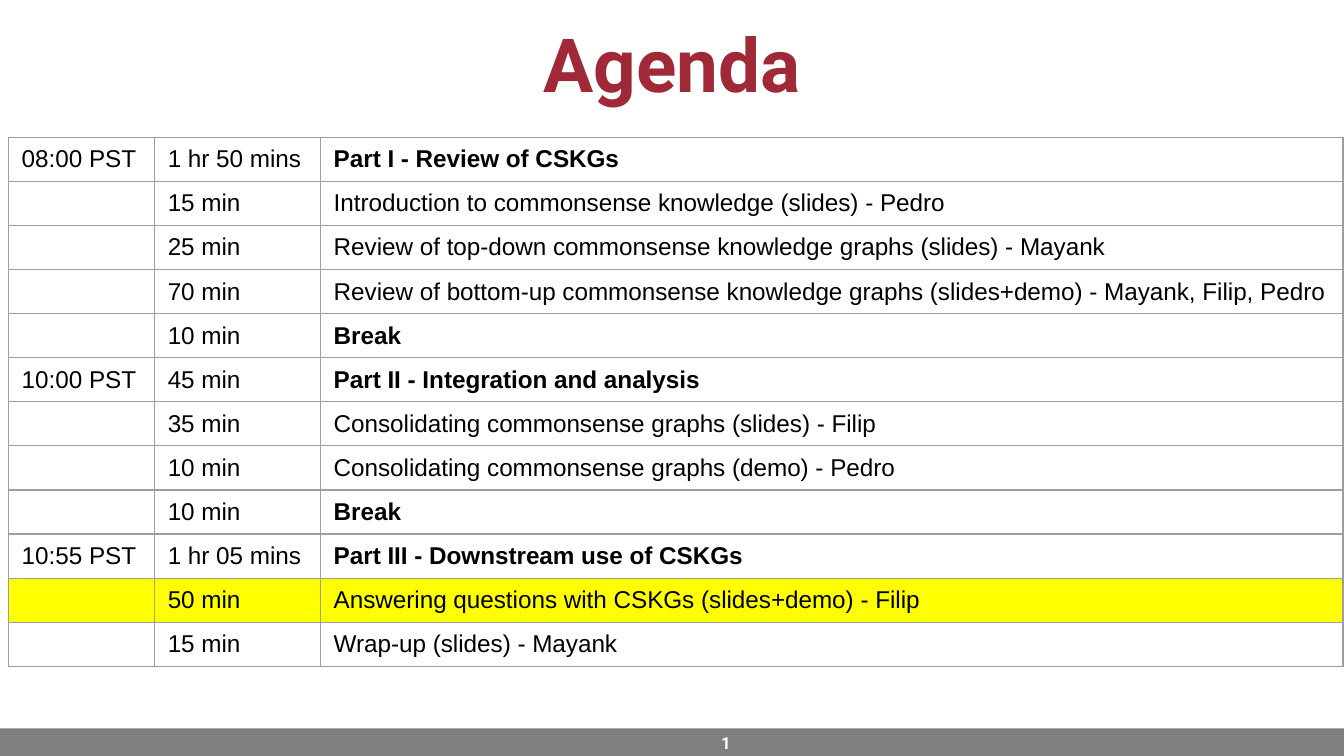
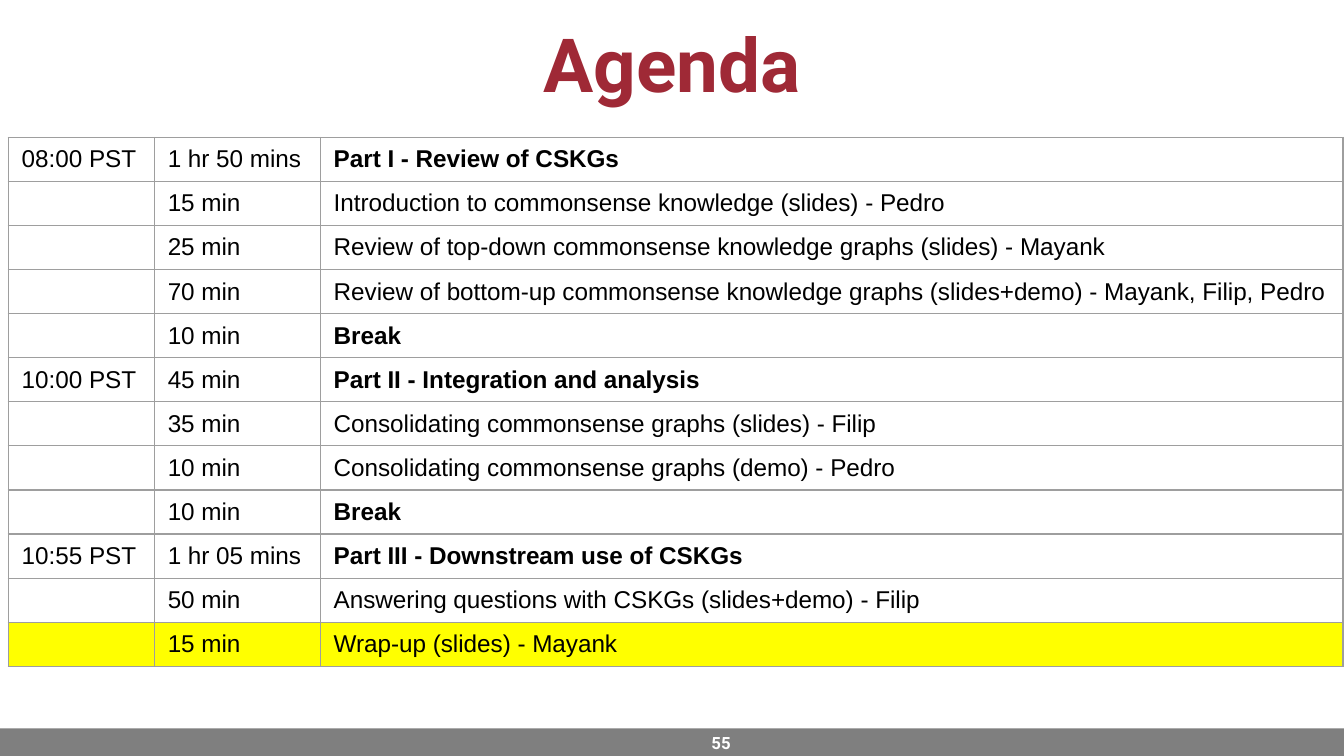
"""Build the two agenda slides, each with its current session marked."""
import dataclasses
import typing

import lxml.etree
import pptx
import pptx.dml.color
import pptx.enum.shapes
import pptx.enum.text
import pptx.oxml.ns
import pptx.presentation
import pptx.slide
import pptx.table
import pptx.text.text
import pptx.util

ALIGN = pptx.enum.text.PP_ALIGN
MIDDLE = pptx.enum.text.MSO_ANCHOR.MIDDLE


@dataclasses.dataclass(frozen=True)
class Style:
    """Font, size, colour and weight of a text."""
    font: str
    size: float
    color: str
    bold: bool = False


@dataclasses.dataclass(frozen=True)
class Theme:
    """Colours and type sizes shared by the slides."""
    title: Style = Style("Roboto", 40, "9F2936", True)
    number: Style = Style("Roboto", 9, "FFFFFF", True)
    plain: Style = Style("Arial", 13, "000000")
    strong: Style = Style("Arial", 13, "000000", True)
    band: str = "7F7F7F"
    mark: str = "FFFF00"
    rule: str = "9E9E9E"
    rule_width: float = 0.75


class Box(typing.NamedTuple):
    """Left, top, width and height in grid units."""
    left: float
    top: float
    width: float
    height: float


class Item(typing.NamedTuple):
    """One line of the agenda."""
    start: str
    span: str
    topic: str
    strong: bool = False


class Page(typing.NamedTuple):
    """Slide number and the row of the current session."""
    number: str
    current: int


THEME = Theme()
UNIT = 0.1
WIDE, HIGH = 100, 56.25
TITLE = Box(0, 0, WIDE, 9.3)
BAND = Box(0, 54.2, WIDE, 2.2)
NUMBER = Box(50.85, 53.8, 4.5, 3)
COLUMNS = (10.87, 12.35, 76.1)
ROW = 3.28
ITEMS = (
    Item("08:00 PST", "1 hr 50 mins", "Part I - Review of CSKGs", True),
    Item("", "15 min", "Introduction to commonsense knowledge (slides) - Pedro"),
    Item("", "25 min", "Review of top-down commonsense knowledge graphs (slides) - Mayank"),
    Item("", "70 min", "Review of bottom-up commonsense knowledge graphs (slides+demo) - Mayank, Filip, Pedro"),
    Item("", "10 min", "Break", True),
    Item("10:00 PST", "45 min", "Part II - Integration and analysis", True),
    Item("", "35 min", "Consolidating commonsense graphs (slides) - Filip"),
    Item("", "10 min", "Consolidating commonsense graphs (demo) - Pedro"),
    Item("", "10 min", "Break", True),
    Item("10:55 PST", "1 hr 05 mins", "Part III - Downstream use of CSKGs", True),
    Item("", "50 min", "Answering questions with CSKGs (slides+demo) - Filip"),
    Item("", "15 min", "Wrap-up (slides) - Mayank"),
)
AGENDA = Box(0.62, 10.22, sum(COLUMNS), ROW * len(ITEMS))
PAGES = (Page("1", 10), Page("55", 11))


def units(count: float) -> pptx.util.Length:
    """Turn grid units into a length."""
    return pptx.util.Inches(count * UNIT)


def place(box: Box) -> tuple[pptx.util.Length, ...]:
    """Turn a box into four lengths."""
    return tuple(units(side) for side in box)


def paint(code: str) -> pptx.dml.color.RGBColor:
    """Turn a hex code into a colour."""
    return pptx.dml.color.RGBColor.from_string(code)


def write(frame: pptx.text.text.TextFrame, text: str, style: Style, align: ALIGN) -> None:
    """Set a one-line text and format it."""
    frame.text = text
    line = frame.paragraphs[0]
    line.alignment = align
    for run in line.runs:
        run.font.name = style.font
        run.font.size = pptx.util.Pt(style.size)
        run.font.bold = style.bold
        run.font.color.rgb = paint(style.color)


def set_frame(frame: pptx.text.text.TextFrame) -> None:
    """Give a frame centred anchoring, wrapping and fixed size."""
    frame.word_wrap = True
    frame.auto_size = pptx.enum.text.MSO_AUTO_SIZE.NONE
    frame.vertical_anchor = MIDDLE


def add_title(slide: pptx.slide.Slide) -> None:
    """Move and fill the title placeholder."""
    title = slide.shapes.title
    title.left, title.top, title.width, title.height = place(TITLE)
    set_frame(title.text_frame)
    write(title.text_frame, "Agenda", THEME.title, ALIGN.CENTER)


def add_footer(slide: pptx.slide.Slide, number: str) -> None:
    """Draw the bottom band with the slide number."""
    band = slide.shapes.add_shape(pptx.enum.shapes.MSO_SHAPE.RECTANGLE, *place(BAND))
    band.shadow.inherit = False
    band.fill.solid()
    band.fill.fore_color.rgb = paint(THEME.band)
    band.line.fill.background()
    frame = slide.shapes.add_textbox(*place(NUMBER)).text_frame
    set_frame(frame)
    write(frame, number, THEME.number, ALIGN.RIGHT)


def rule_cell(cell: pptx.table._Cell) -> None:
    """Rule all four sides of a cell."""
    props = cell._tc.get_or_add_tcPr()
    name = pptx.oxml.ns.qn
    width = str(pptx.util.Pt(THEME.rule_width))
    for side in ("a:lnL", "a:lnR", "a:lnT", "a:lnB"):
        edge = lxml.etree.SubElement(props, name(side), w=width)
        fill = lxml.etree.SubElement(edge, name("a:solidFill"))
        lxml.etree.SubElement(fill, name("a:srgbClr"), val=THEME.rule)


def fill_cell(cell: pptx.table._Cell, text: str, style: Style, marked: bool) -> None:
    """Write and format one cell."""
    rule_cell(cell)
    cell.margin_left = cell.margin_right = units(1)
    cell.margin_top = cell.margin_bottom = 0
    cell.vertical_anchor = MIDDLE
    if marked:
        cell.fill.solid()
        cell.fill.fore_color.rgb = paint(THEME.mark)
    else:
        cell.fill.background()
    write(cell.text_frame, text, style, ALIGN.LEFT)


def add_agenda(slide: pptx.slide.Slide, current: int) -> None:
    """Draw the agenda table with the current row marked."""
    table = slide.shapes.add_table(len(ITEMS), len(COLUMNS), *place(AGENDA)).table
    table.first_row = table.horz_banding = False
    for column, width in zip(table.columns, COLUMNS):
        column.width = units(width)
    for index, (row, item) in enumerate(zip(table.rows, ITEMS)):
        row.height = units(ROW)
        topic = THEME.strong if item.strong else THEME.plain
        styles = (THEME.plain, THEME.plain, topic)
        for cell, text, style in zip(row.cells, item[:3], styles):
            fill_cell(cell, text, style, index == current)


def add_page(deck: pptx.presentation.Presentation, page: Page) -> None:
    """Add one agenda slide."""
    slide = deck.slides.add_slide(deck.slide_layouts.get_by_name("Title Only"))
    add_title(slide)
    add_footer(slide, page.number)
    add_agenda(slide, page.current)


def main() -> None:
    """Build and save the deck."""
    deck = pptx.Presentation()
    deck.slide_width, deck.slide_height = units(WIDE), units(HIGH)
    for page in PAGES:
        add_page(deck, page)
    deck.save("out.pptx")


if __name__ == "__main__":
    main()
